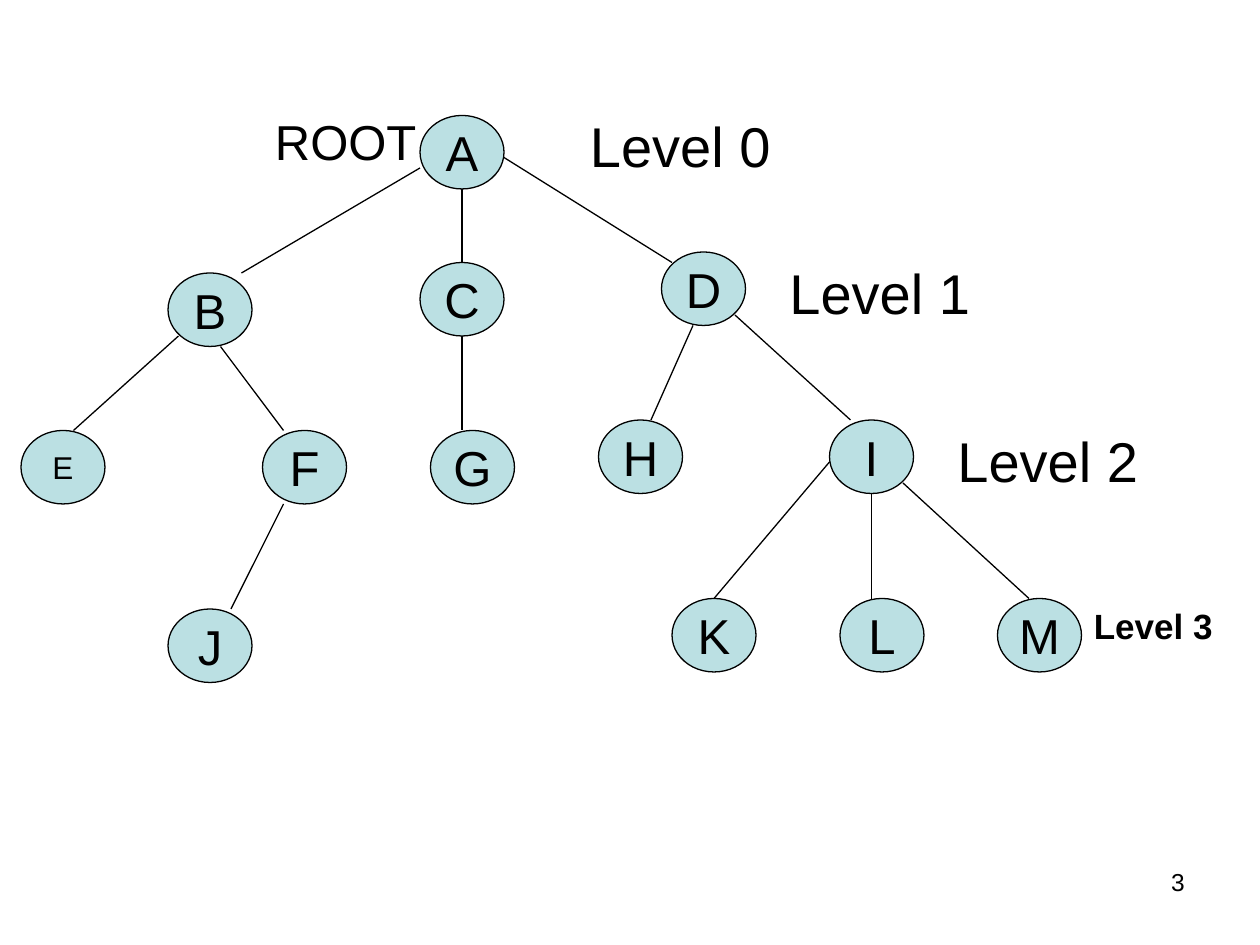
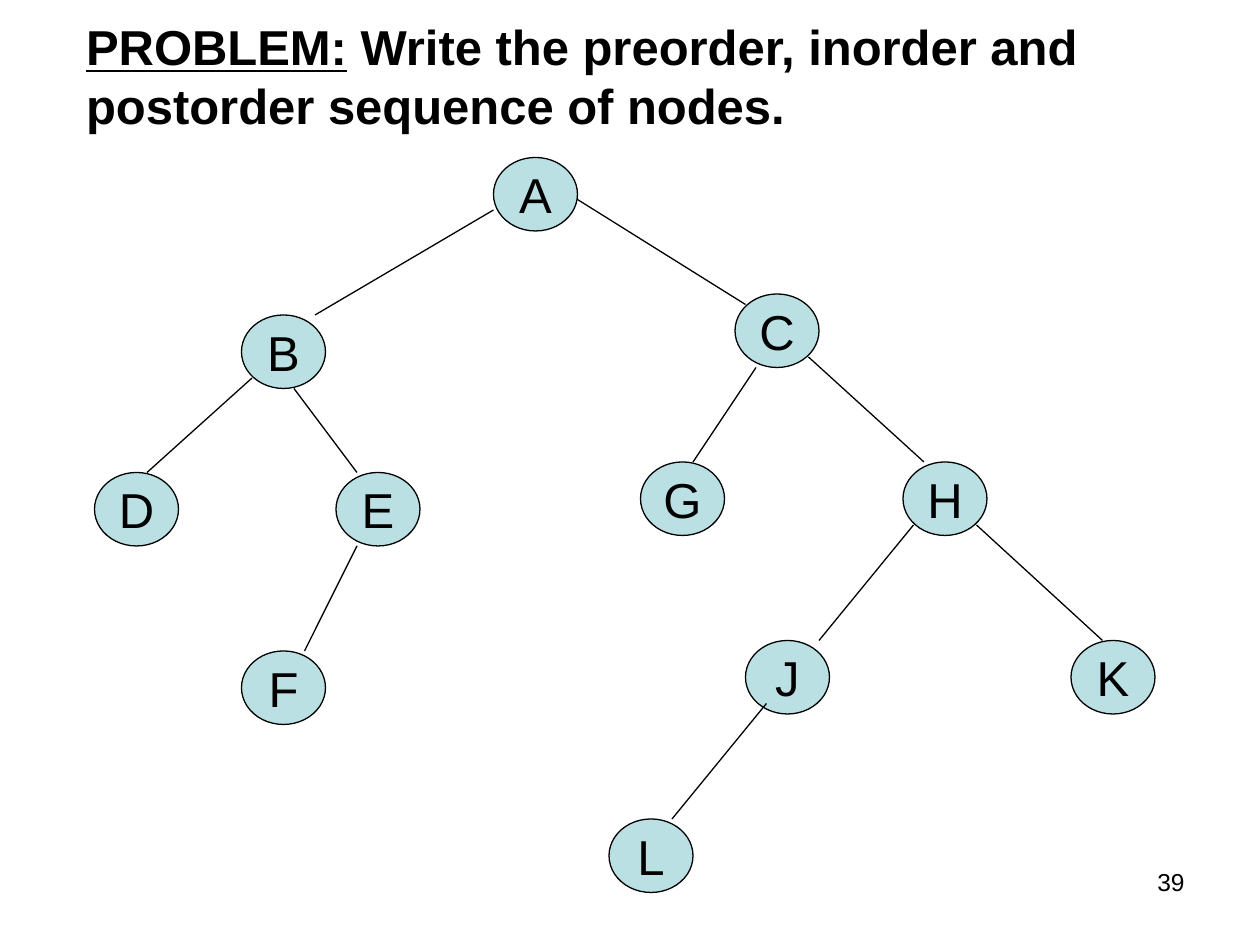
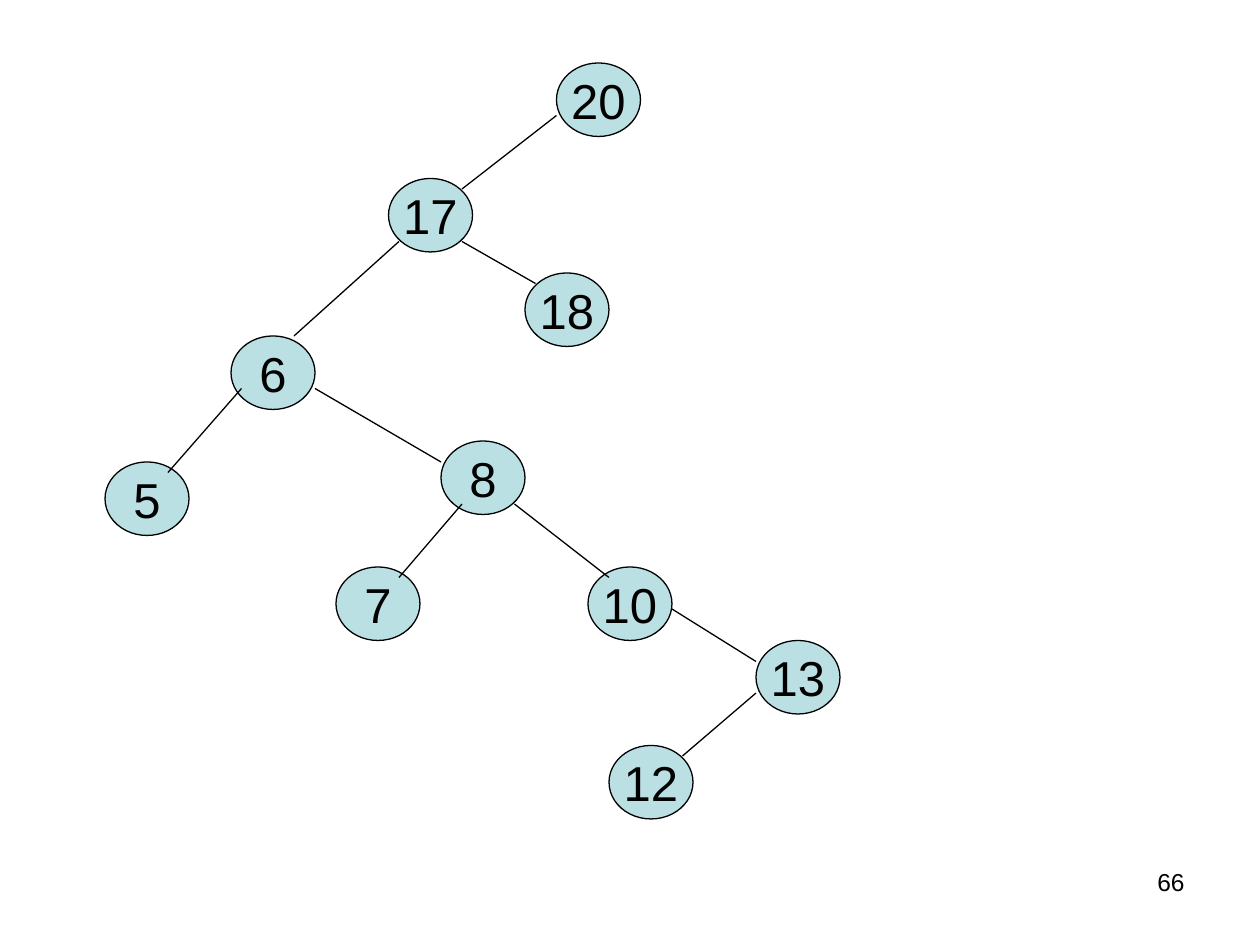
from dataclasses import dataclass

from lxml.etree import SubElement
from pptx import Presentation
from pptx.dml.color import RGBColor
from pptx.enum.shapes import MSO_CONNECTOR, MSO_SHAPE
from pptx.enum.text import MSO_ANCHOR, MSO_AUTO_SIZE, PP_ALIGN
from pptx.oxml.ns import qn
from pptx.util import Inches, Pt

# Shared look
BLACK = RGBColor(0x00, 0x00, 0x00)
NODE_FILL = RGBColor(0xBB, 0xE0, 0xE3)
FONT = "Arial"
LINE_WIDTH = Pt(0.75)
NODE_SIZE = 28
COLUMNS, ROWS = 120, 90
NODE_COLUMNS, NODE_ROWS = 8, 7
TITLE_ONLY, BLANK = 5, 6


@dataclass
class Box:
    """An area of the slide that is divided into columns and rows."""
    left: int
    top: int
    width: int
    height: int

    def point(self, column, row):
        return (round(self.left + self.width * column / COLUMNS),
                round(self.top + self.height * row / ROWS))

    def cell(self, column, row, columns, rows):
        left, top = self.point(column, row)
        right, bottom = self.point(column + columns, row + rows)
        return left, top, right - left, bottom - top


# Trees: nodes are name -> (column, row); an edge joins a point of the parent
# to a point of the child, each counted from that node's top left corner
LEVELS_NODES = {
    "A": (40, 11), "C": (40, 25), "D": (63, 24), "J": (16, 58), "F": (25, 41),
    "K": (64, 57), "B": (16, 26), "H": (57, 40), "M": (95, 57), "G": (41, 41),
    "I": (79, 40), "L": (80, 57), "E": (2, 41),
}
LEVELS_EDGES = [
    ("A", (0, 5), "B", (7, 0)), ("B", (1, 6), "E", (5, 0)),
    ("A", (4, 7), "C", (4, 0)), ("C", (4, 7), "G", (3, 0)),
    ("B", (5, 7), "F", (2, 0)), ("F", (2, 7), "J", (6, 0)),
    ("A", (8, 4), "D", (1, 1)), ("D", (3, 7), "H", (5, 0)),
    ("D", (7, 6), "I", (2, 0)), ("I", (4, 7), "L", (3, 0)),
    ("I", (0, 4), "K", (4, 0)), ("I", (7, 6), "M", (3, 0)),
]
# Text, cell, size, bold
LEVELS_LABELS = [
    ("Level 0", (55, 10, 20, 7.6), 32, False),
    ("Level 1", (74, 24, 20, 7.6), 32, False),
    ("Level 2", (90, 40, 20, 7.6), 32, False),
    ("Level 3", (103, 57, 17, 5.2), 20, True),
    ("ROOT", (25, 10, 22, 6.8), 28, False),
]

PROBLEM_NODES = {
    "A": (47, 15), "C": (70, 28), "F": (23, 62), "E": (32, 45), "J": (71, 61),
    "B": (23, 30), "G": (61, 44), "K": (102, 61), "H": (86, 44), "D": (9, 45),
    "L": (58, 78),
}
PROBLEM_EDGES = [
    ("A", (0, 5), "B", (7, 0)), ("B", (1, 6), "D", (5, 0)),
    ("B", (5, 7), "E", (2, 0)), ("E", (2, 7), "F", (6, 0)),
    ("A", (8, 4), "C", (1, 1)), ("C", (2, 7), "G", (5, 0)),
    ("C", (7, 6), "H", (2, 0)), ("J", (2, 6), "L", (6, 0)),
    ("H", (1, 6), "J", (7, 0)), ("H", (7, 6), "K", (3, 0)),
]

SEARCH_NODES = {
    "20": (53, 6), "5": (10, 44), "8": (42, 42), "18": (50, 26),
    "10": (56, 54), "17": (37, 17), "7": (32, 54), "13": (72, 61),
    "6": (22, 32), "12": (58, 71),
}
SEARCH_EDGES = [
    ("20", (0, 5), "17", (7, 1)), ("17", (1, 6), "6", (6, 0)),
    ("17", (7, 6), "18", (1, 1)), ("6", (8, 5), "8", (0, 2)),
    ("6", (1, 5), "5", (6, 1)), ("8", (2, 6), "7", (6, 1)),
    ("8", (7, 6), "10", (2, 1)), ("10", (8, 4), "13", (0, 2)),
    ("13", (0, 5), "12", (7, 1)),
]


def format_paragraph(paragraph, size, bold=False, alignment=PP_ALIGN.LEFT):
    paragraph.alignment = alignment
    paragraph.font.name = FONT
    paragraph.font.size = Pt(size)
    paragraph.font.bold = bold
    paragraph.font.color.rgb = BLACK


def add_label(slide, box, text, cell, size, bold=False, alignment=PP_ALIGN.LEFT):
    frame = slide.shapes.add_textbox(*box.cell(*cell)).text_frame
    frame.word_wrap = True
    frame.text = text
    format_paragraph(frame.paragraphs[0], size, bold, alignment)


def add_node(slide, box, name, position, size):
    shape = slide.shapes.add_shape(
        MSO_SHAPE.OVAL, *box.cell(*position, NODE_COLUMNS, NODE_ROWS))
    shape.shadow.inherit = False
    shape.fill.solid()
    shape.fill.fore_color.rgb = NODE_FILL
    shape.line.color.rgb = BLACK
    shape.line.width = LINE_WIDTH
    frame = shape.text_frame
    frame.word_wrap = False
    frame.vertical_anchor = MSO_ANCHOR.MIDDLE
    frame.text = name
    format_paragraph(frame.paragraphs[0], size, alignment=PP_ALIGN.CENTER)


def add_edge(slide, box, start, end):
    connector = slide.shapes.add_connector(
        MSO_CONNECTOR.STRAIGHT, *box.point(*start), *box.point(*end))
    connector.line.color.rgb = BLACK
    connector.line.width = LINE_WIDTH
    SubElement(connector.element.spPr, qn("a:effectLst"))


def add_tree(slide, box, nodes, edges, small_nodes=()):
    for name, position in nodes.items():
        add_node(slide, box, name, position,
                 18 if name in small_nodes else NODE_SIZE)
    for parent, start, child, end in edges:
        add_edge(slide, box,
                 [sum(pair) for pair in zip(nodes[parent], start)],
                 [sum(pair) for pair in zip(nodes[child], end)])


def add_problem_title(slide, box):
    title = slide.shapes.title
    title.left, title.top, title.width, title.height = box.cell(7, 1, 102, 12.4)
    frame = title.text_frame
    frame.word_wrap = True
    frame.auto_size = MSO_AUTO_SIZE.NONE
    frame.vertical_anchor = MSO_ANCHOR.TOP
    paragraph = frame.paragraphs[0]
    paragraph.add_run().text = "PROBLEM:"
    paragraph.runs[0].font.underline = True
    paragraph.add_run().text = (
        " Write the preorder, inorder and postorder sequence of nodes.")
    format_paragraph(paragraph, 28, bold=True)


def add_numbered_slide(presentation, box, layout, number):
    slide = presentation.slides.add_slide(presentation.slide_layouts[layout])
    add_label(slide, box, number, (86, 82, 28, 6.2), 14,
              alignment=PP_ALIGN.RIGHT)
    return slide


def main():
    presentation = Presentation()
    presentation.slide_width = Inches(10)
    presentation.slide_height = Inches(7.5)
    box = Box(0, 0, presentation.slide_width, presentation.slide_height)

    # Levels of a tree
    slide = add_numbered_slide(presentation, box, BLANK, "3")
    add_tree(slide, box, LEVELS_NODES, LEVELS_EDGES, small_nodes=("E",))
    for label in LEVELS_LABELS:
        add_label(slide, box, *label)

    # Traversal problem
    slide = add_numbered_slide(presentation, box, TITLE_ONLY, "39")
    add_problem_title(slide, box)
    add_tree(slide, box, PROBLEM_NODES, PROBLEM_EDGES)

    # Search tree
    slide = add_numbered_slide(presentation, box, BLANK, "66")
    add_tree(slide, box, SEARCH_NODES, SEARCH_EDGES)

    presentation.save("out.pptx")


if __name__ == "__main__":
    main()
